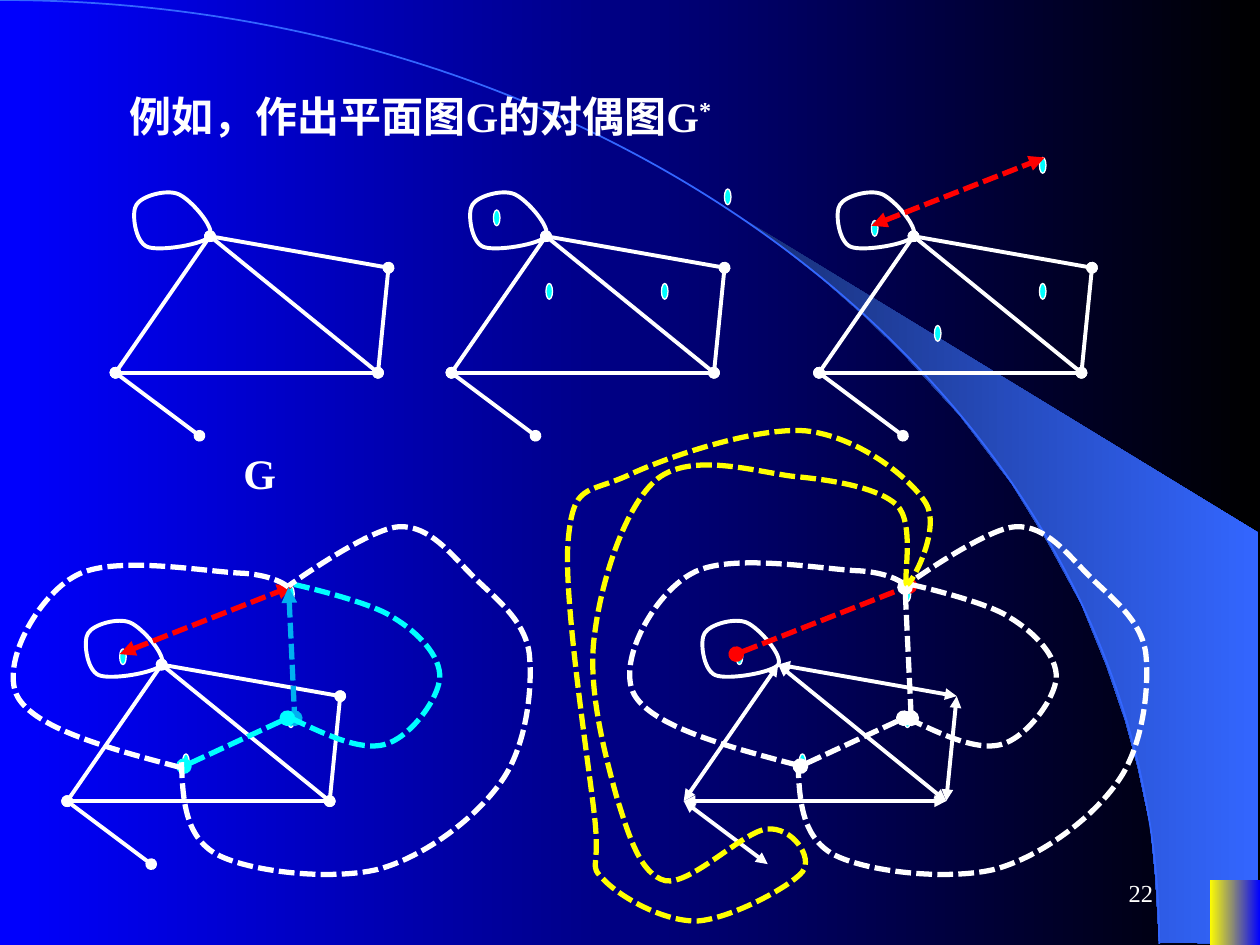
import pptx
import pptx.dml.color
import pptx.enum.dml
import pptx.enum.shapes
import pptx.enum.text
import pptx.oxml.ns
import pptx.util
from lxml import etree

Pt = pptx.util.Pt
COLOURS = {"white": "FFFFFF", "black": "000000", "blue": "0000FF", "navy": "182F76",
           "azure": "3366FF", "sky": "00B0F0", "cyan": "00FFFF", "red": "FF0000",
           "yellow": "FFFF00"}

# Graph G, in points from the vertex that carries the loop
HUB, LEFT, RIGHT, PENDANT, CORNER = (0, 0), (-54, 78), (96, 78), (-6, 114), (102, 18)
EDGES = [(HUB, LEFT), (LEFT, RIGHT), (HUB, RIGHT), (LEFT, PENDANT), (RIGHT, CORNER),
         (HUB, CORNER)]
LOOP = [(0, 0), (3, -5), (-11, -21), (-18, -24), (-25, -27), (-39, -23), (-42, -18),
        (-45, -14), (-43, 3), (-36, 6), (-29, 9), (-3, 4.5), (0, 0)]

# Dual graph G*, from the same vertex
FACES_FIRST = [(0, 27), (102, -27), (-30, -15), (66, 27)]
FACES = [(-24, -9), (72, -45), (12, 51), (72, 27)]
LOOP_DUAL = [(-24, -6), (75, -45)]
UPRIGHT_DUAL = [(72.5, -44.3), (76, 30.6)]
DIAGONAL_DUAL = [(12.7, 58), (71.8, 30.6)]
RIGHT_DUAL = [(74, 30.6), (93.4, 40), (113.5, 49.3), (127.2, 45.7), (141.6, 42.1),
              (158.2, 19.8), (158.9, 7.6), (159.6, -4.7), (146.6, -18.4), (132.2, -27),
              (118.6, -36.4), (73.2, -46.4), (73.2, -46.4)]
LEFT_DUAL = [(10.6, 58.7), (-30.5, 47.9), (-72.2, 36.4), (-82.3, 18.4), (-92.4, -0.4),
             (-70.8, -39.2), (-49.2, -50.8), (-27.6, -63), (25.7, -52.9), (46.6, -52.2),
             (66.7, -50.8), (73.2, -43.6), (73.2, -43.6)]
BOTTOM_DUAL = [(11.3, 55.8), (12, 77.4), (13.4, 98.3), (31.4, 108.4), (50.2, 118.4),
               (96.2, 123.5), (123.6, 117), (150.2, 109.8), (179.8, 87.5), (194.2, 66.6),
               (208.6, 46.4), (212.2, 12.6), (210, -6.8), (207.1, -26.3), (189.8, -38.5),
               (177.6, -50.8), (165.4, -63), (153.1, -79.6), (135.8, -78.8),
               (118.6, -78.1), (72.5, -45), (72.5, -45)]

# Slide coordinates
PENDANT_DUAL = [
    (518.4, 334.1), (515.5, 334.1), (523.4, 299.5), (512.6, 288.7), (501.8, 278.6),
    (475.9, 274.3), (452.9, 272.2), (430.6, 269.3), (395.3, 258.5), (375.8, 273.6),
    (357.1, 288.7), (343.4, 332.6), (339.8, 362.9), (335.5, 392.4), (345.6, 430.6),
    (352.1, 454.3), (359.3, 477.4), (365.8, 499.7), (380.2, 503.3), (394.6, 506.2),
    (425.5, 474.5), (438.5, 473.8), (452.2, 472.3), (465.1, 489.6), (458.6, 498.2),
    (451.4, 506.9), (417.6, 524.9), (398.9, 526.3), (380.2, 527), (355.7, 513.4),
    (345.6, 503.3), (335.5, 493.2), (343.4, 499), (339.8, 466.6), (336.2, 434.2),
    (321.8, 342), (324.7, 308.9), (327.6, 276.5), (334.8, 282.2), (357.8, 272.2),
    (380.2, 261.4), (431.3, 244.1), (460.1, 246.2), (488.9, 249.1), (518.4, 271.4),
    (528.5, 286.6), (538.6, 301), (521.3, 333.4), (518.4, 334.1)]
BEAM = [(662.4, 538.6), (719.3, 539.3), (719.3, 304.6), (424.1, 124.6), (449.3, 143.3),
        (470.2, 159.8), (493.2, 180), (515.5, 201.6), (548.6, 237.6), (578.2, 276.5),
        (599, 310.3), (617.8, 344.9), (632.2, 380.2), (643, 411.8), (650.2, 438.5),
        (657.4, 472.3), (660.2, 501.1)]
HORIZON = [(0, 0), (365.8, 0), (662.4, 241.2), (662.4, 539.3)]


def rgb(name):
    return pptx.dml.color.RGBColor.from_string(COLOURS[name])


def apply(target, values):
    for attribute, value in values.items():
        setattr(target, attribute, value)


def place(points, origin):
    return [(Pt(origin[0] + x), Pt(origin[1] + y)) for x, y in points]


def fade(fill, start, end):
    """Fill with a gradient running from left to right."""
    fill.gradient()
    fill.gradient_angle = 0
    for stop, colour in zip(fill.gradient_stops, (start, end)):
        stop.color.rgb = rgb(colour)


def style_line(line, colour, width, dashed=False):
    line.color.rgb = rgb(colour)
    line.width = Pt(width)
    if dashed:
        line.dash_style = pptx.enum.dml.MSO_LINE.SQUARE_DOT


def add_outline(slide, points, origin=(0, 0), closed=False):
    start, *rest = place(points, origin)
    builder = slide.shapes.build_freeform(*start, scale=1.0)
    builder.add_line_segments(rest, close=closed)
    outline = builder.convert_to_shape()
    outline.shadow.inherit = False
    return outline


def add_curve(slide, points, origin=(0, 0), colour="white", width=3, dashed=True,
              closed=False):
    """Draw a Bézier curve: a start, then two controls and an end per segment."""
    curve = add_outline(slide, points, origin, closed)
    curve.fill.background()
    style_line(curve.line, colour, width, dashed)
    qn = pptx.oxml.ns.qn
    steps = list(curve._element.iter(qn("a:lnTo")))
    for first in range(0, len(steps), 3):
        bezier = etree.Element(qn("a:cubicBezTo"))
        steps[first].addprevious(bezier)
        for step in steps[first:first + 3]:
            bezier.append(step[0])
            step.getparent().remove(step)


def add_edge(slide, ends, origin, colour="white", width=2.25, dashed=False,
             caps=("oval", "oval")):
    start, end = place(ends, origin)
    edge = slide.shapes.add_connector(pptx.enum.shapes.MSO_CONNECTOR.STRAIGHT, *start, *end)
    style_line(edge.line, colour, width, dashed)
    qn = pptx.oxml.ns.qn
    for tag, cap in zip(("a:headEnd", "a:tailEnd"), caps):
        etree.SubElement(edge.line._get_or_add_ln(), qn(tag), type=cap)
    etree.SubElement(edge._element.spPr, qn("a:effectLst"))


def add_graph(slide, hub, cap="oval"):
    for ends in EDGES:
        add_edge(slide, ends, hub, caps=(cap, cap))
    add_curve(slide, LOOP, hub, width=2.25, dashed=False, closed=True)


def add_faces(slide, faces, hub):
    for left, top in place(faces, hub):
        face = slide.shapes.add_shape(pptx.enum.shapes.MSO_SHAPE.OVAL, left, top,
                                      Pt(3.75), Pt(9))
        face.shadow.inherit = False
        face.fill.solid()
        face.fill.fore_color.rgb = rgb("cyan")
        style_line(face.line, "white", 0.75)


def add_dual(slide, hub, caps, upright, inner, rise=0):
    """Draw the dual edges; caps are those of the loop's and the upright edge."""
    add_edge(slide, LOOP_DUAL, hub, "red", 3, True, caps[0])
    add_edge(slide, UPRIGHT_DUAL, hub, upright, 3, True, caps[1])
    add_edge(slide, DIAGONAL_DUAL, hub, inner, 3, True)
    add_curve(slide, RIGHT_DUAL, hub, inner)
    add_curve(slide, LEFT_DUAL, (hub[0], hub[1] - rise))
    add_curve(slide, BOTTOM_DUAL, hub)


def add_text(slide, box, runs, size, bold=False, frame={}, paragraph={}, indent=0):
    text_frame = slide.shapes.add_textbox(*map(Pt, box)).text_frame
    apply(text_frame, {"word_wrap": True, **frame})
    line = text_frame.paragraphs[0]
    apply(line, paragraph)
    if indent:
        line._p.get_or_add_pPr().set("marL", str(Pt(indent)))
    for text, baseline in runs:
        run = line.add_run()
        run.text = text
        apply(run.font, {"name": "Times New Roman", "size": Pt(size), "bold": bold})
        run.font.color.rgb = rgb("white")
        if baseline:
            run.font._element.set("baseline", str(baseline))


def add_backdrop(slide):
    fade(slide.background.fill, "blue", "black")
    beam = add_outline(slide, BEAM, closed=True)
    fade(beam.fill, "navy", "azure")
    beam.line.fill.background()
    add_curve(slide, HORIZON, colour="azure", width=1, dashed=False)
    corner = slide.shapes.add_shape(pptx.enum.shapes.MSO_SHAPE.RECTANGLE,
                                    Pt(691.2), Pt(502.8), Pt(28.8), Pt(37.2))
    corner.shadow.inherit = False
    fade(corner.fill, "yellow", "blue")
    corner.line.fill.background()


def main():
    deck = pptx.Presentation()
    apply(deck, {"slide_width": Pt(720), "slide_height": Pt(540)})
    slide = deck.slides.add_slide(deck.slide_layouts[6])
    add_backdrop(slide)
    add_text(slide, (516, 492, 150, 36), [("22", 0)], 14,
             frame={"vertical_anchor": pptx.enum.text.MSO_ANCHOR.MIDDLE},
             paragraph={"alignment": pptx.enum.text.PP_ALIGN.RIGHT})
    add_text(slide, (24, 48, 630, 36), [("例如，作出平面图G的对偶图G", 0), ("*", 30000)], 24,
             True, paragraph={"space_before": Pt(15)}, indent=43)

    add_graph(slide, (120, 135))
    add_text(slide, (132, 252, 55.5, 36), [("G", 0)], 24, True)

    with_faces = (312, 135)
    add_graph(slide, with_faces)
    add_faces(slide, FACES_FIRST, with_faces)

    arrows = ("triangle", "triangle")
    with_loop_dual = (522, 135)
    add_graph(slide, with_loop_dual)
    add_faces(slide, FACES, with_loop_dual)
    add_edge(slide, LOOP_DUAL, with_loop_dual, "red", 3, True, arrows)

    partial = (92.4, 379.8)
    add_graph(slide, partial)
    add_faces(slide, FACES, partial)
    add_dual(slide, partial, (arrows, ("triangle", "oval")), "sky", "cyan")

    complete = (444.7, 379.8)
    add_graph(slide, complete, "triangle")
    add_faces(slide, FACES, complete)
    add_dual(slide, complete, (("oval", "oval"),) * 2, "white", "white", rise=1.4)
    add_curve(slide, PENDANT_DUAL, colour="yellow", closed=True)
    deck.save("out.pptx")


if __name__ == "__main__":
    main()
